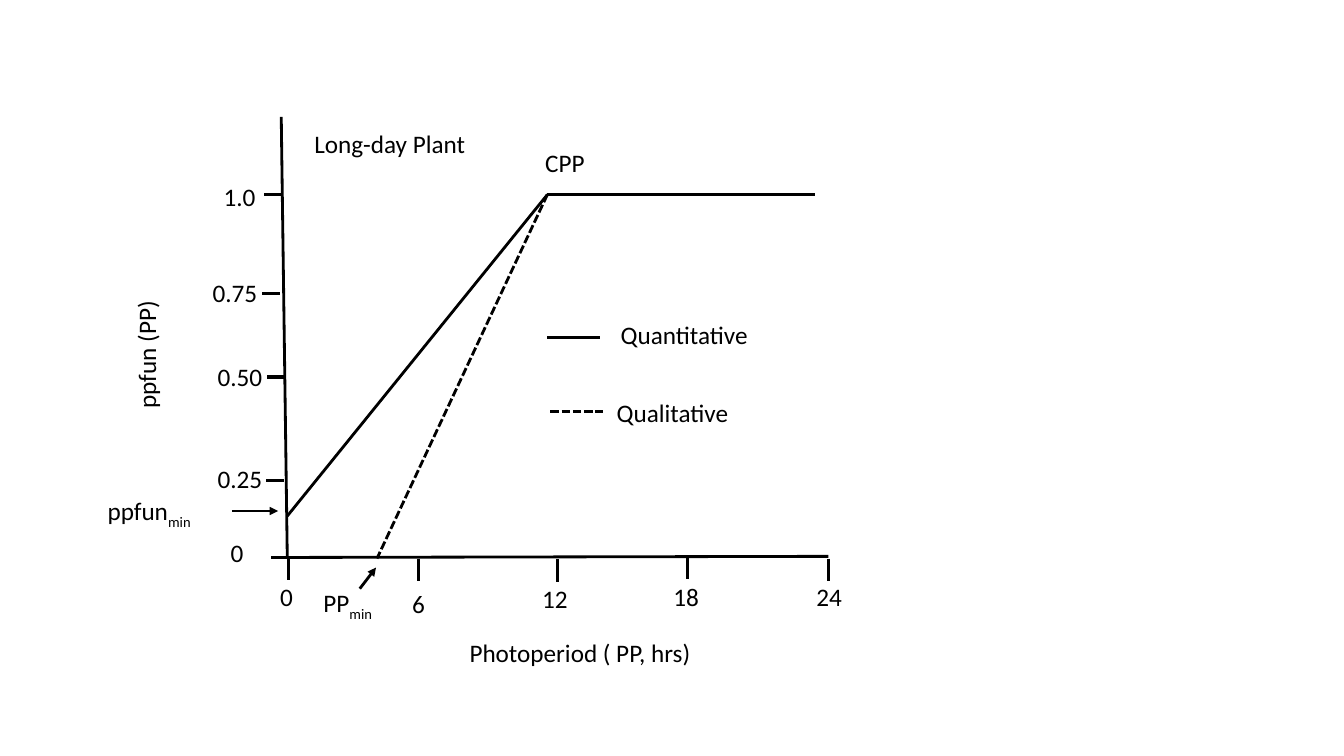
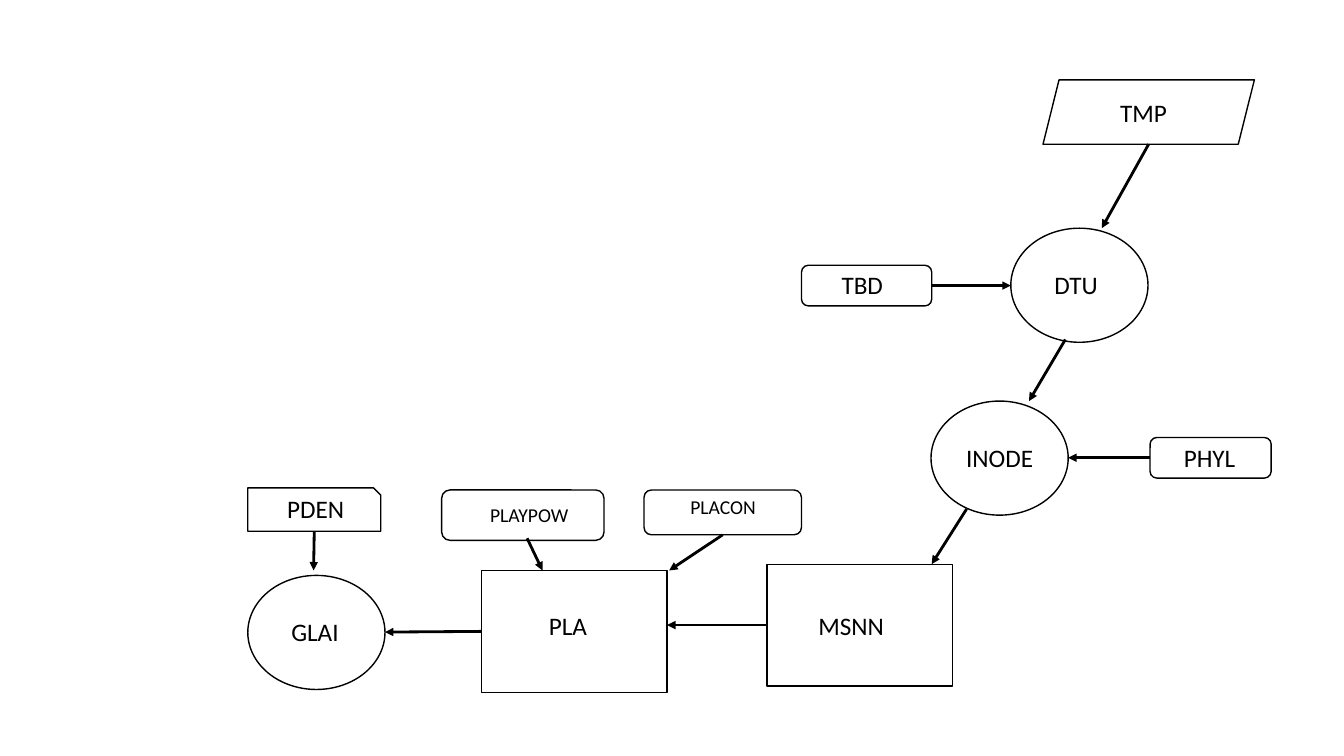
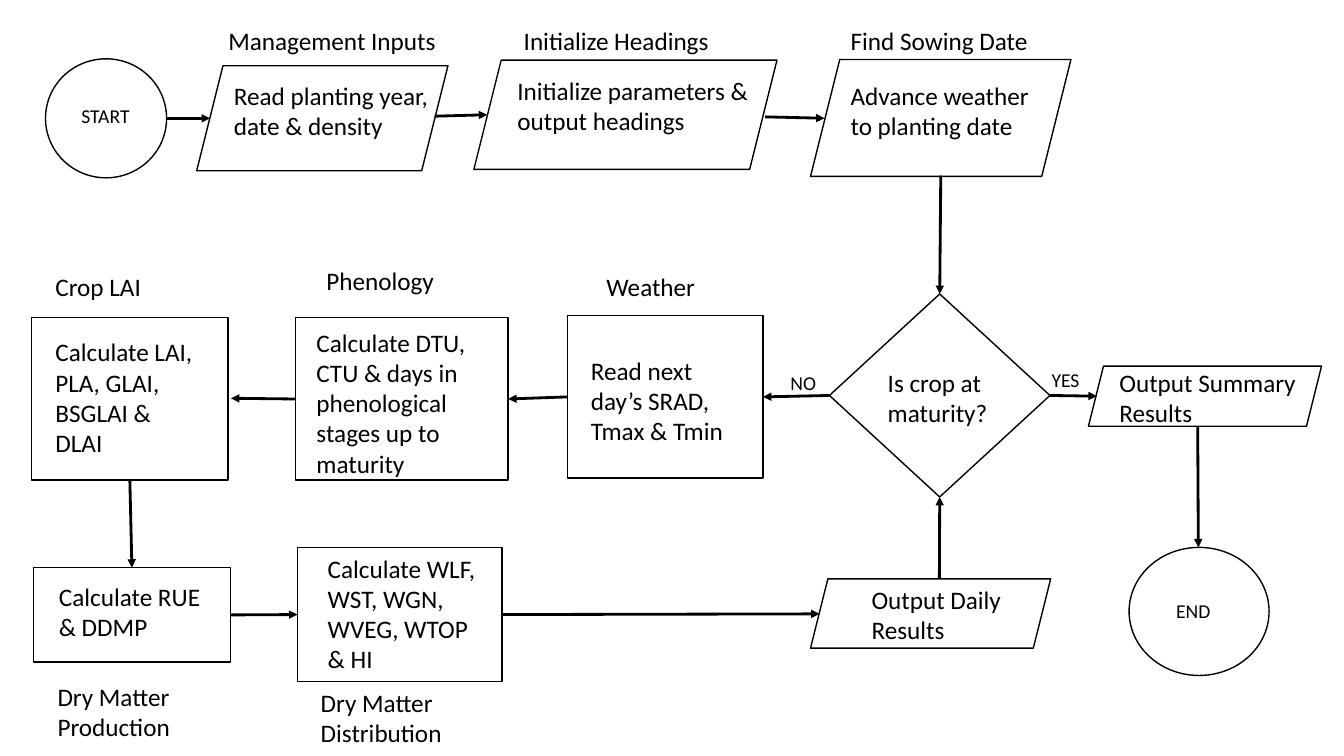
import dataclasses

import pptx
import pptx.dml.color
import pptx.enum.dml
import pptx.enum.shapes
import pptx.enum.text
import pptx.oxml.ns
import pptx.util
from lxml import etree

Pt = pptx.util.Pt
BLACK = pptx.dml.color.RGBColor(0, 0, 0)
WHITE = pptx.dml.color.RGBColor(255, 255, 255)
DASH = pptx.enum.dml.MSO_LINE.SQUARE_DOT
KIND = pptx.enum.shapes.MSO_SHAPE
LINK = pptx.enum.shapes.MSO_CONNECTOR.STRAIGHT
qn = pptx.oxml.ns.qn

FONT = {"name": "Calibri", "bold": False}
FRAME = {"word_wrap": True,
         "vertical_anchor": pptx.enum.text.MSO_ANCHOR.TOP,
         "auto_size": pptx.enum.text.MSO_AUTO_SIZE.SHAPE_TO_FIT_TEXT}
TOP, LEFT, BOTTOM, RIGHT = range(4)
OVAL, SLANT, ROUND, RECT = (KIND.OVAL, KIND.PARALLELOGRAM,
                            KIND.ROUNDED_RECTANGLE, KIND.RECTANGLE)


def style(item, values):
    for name, value in values.items():
        setattr(item, name, value)


@dataclasses.dataclass
class Pen:
    """Draws on one slide, measuring from the corner of a box."""
    slide: object
    box: tuple
    fill: object = None
    nodes: dict = dataclasses.field(default_factory=dict)

    def place(self, x, y):
        return Pt(self.box[0] + x), Pt(self.box[1] + y)

    def text(self, words, x, y, width, lines=1, size=18, sub=None, turn=0):
        label = self.slide.shapes.add_textbox(
            *self.place(x, y), Pt(width), Pt(lines * size * 1.2 + 7.2))
        label.rotation = turn
        frame = label.text_frame
        style(frame, FRAME)
        frame.text = words
        if sub:
            run = frame.paragraphs[0].add_run()
            run.text = sub
            run._r.get_or_add_rPr().set("baseline", "-25000")
        for part in frame.paragraphs:
            for run in part.runs:
                style(run.font, {**FONT, "size": Pt(size)})
                run.font.color.rgb = BLACK

    def node(self, name, kind, box, words, dx, dy, width, lines=1, size=18):
        x, y, wide, high = box
        shape = self.slide.shapes.add_shape(
            kind, *self.place(x, y), Pt(wide), Pt(high))
        shape.shadow.inherit = False
        if self.fill is None:
            shape.fill.background()
        else:
            shape.fill.solid()
            shape.fill.fore_color.rgb = self.fill
        shape.line.color.rgb = BLACK
        shape.line.width = Pt(1)
        self.nodes[name] = shape
        self.text(words, x + dx, y + dy, width, lines, size)

    def spot(self, end):
        """An end is a point, or a node's name with one of its sides."""
        if not isinstance(end[0], str):
            return self.place(*end)
        shape, side = self.nodes[end[0]], end[1]
        across = {LEFT: 0, RIGHT: 2}.get(side, 1)
        down = {TOP: 0, BOTTOM: 2}.get(side, 1)
        return (shape.left + shape.width * across // 2,
                shape.top + shape.height * down // 2)

    def line(self, start, end, width=2, dash=None, head=False):
        link = self.slide.shapes.add_connector(
            LINK, *self.spot(start), *self.spot(end))
        link.line.color.rgb = BLACK
        style(link.line, {"width": Pt(width), "dash_style": dash})
        for stop, join in ((start, link.begin_connect),
                           (end, link.end_connect)):
            if isinstance(stop[0], str):
                join(self.nodes[stop[0]], stop[1])
        props = link._element.spPr
        if head:
            etree.SubElement(props.find(qn("a:ln")), qn("a:tailEnd"),
                             type="triangle")
        etree.SubElement(props, qn("a:effectLst"))

    def arrows(self, ends):
        for start, end in ends:
            self.line(start, end, head=True)


def graph(slide, box):
    pen = Pen(slide, box)
    # Axes
    pen.line((150.9, 3.5), (155.2, 318.2))
    pen.line((541.8, 317.4), (154.5, 318.2))
    pen.text("Photoperiod ( PP, hrs)", 278.3, 371.4, 194)
    pen.text("ppfun (PP)", 4.7, 154.7, 99.4, turn=270)
    # Ticks: label, tick x, tick y, label x, label y
    for words, x, y, left, top in (("0", 155.9, 318, 143, 331.8),
                                   ("6", 248.8, 319, 237.3, 336.9),
                                   ("12", 348.2, 319.5, 330.2, 333.3),
                                   ("18", 441, 317.5, 423.8, 331.8),
                                   ("24", 541.8, 319, 526, 331.8)):
        pen.line((x, y), (x, y + 16))
        pen.text(words, left, top, 48)
    for words, x, y, left, top in (("1.0", 138.6, 59, 102.6, 46),
                                   ("0.75", 137.2, 129.5, 94.7, 114.4),
                                   ("0.50", 140.8, 189.3, 98.3, 174.9),
                                   ("0.25", 140.1, 263.4, 98.3, 247.6),
                                   ("0", 143.7, 318.2, 107.7, 300.2)):
        pen.line((x, y), (x + 12.6, y), width=2.25)
        pen.text(words, left, top, 48)
    # Curves
    peak = (341, 59)
    pen.line(peak, (155.2, 288.6))
    pen.line(peak, (532.5, 59))
    pen.line(peak, (219.3, 318.9), dash=DASH)
    pen.text("Long-day Plant", 167.4, 7.8, 134)
    pen.text("CPP", 332.3, 21.5, 60)
    # Legend
    pen.line((341, 161.2), (378.4, 161.2))
    pen.text("Quantitative", 386.3, 144.6, 106.6)
    pen.line((343.1, 213.8), (380.6, 213.8), dash=DASH)
    pen.text("Qualitative", 383.4, 200.1, 104)
    # Minimum marks
    pen.text("PP", 173.9, 336.2, 63.4, sub="min")
    pen.text("ppfun", 19.8, 270.6, 95.8, sub="min")
    pen.arrows([((207, 340.5), (218.6, 325.4)),
                ((115.6, 285), (148.7, 285))])


def tree(slide, box):
    pen = Pen(slide, box, WHITE)
    ball, block = (98, 81.5), (132.5, 87)
    # Nodes: name, kind, box, label offset, label width, size
    for name, kind, area, dx, dy, width, size in (
            ("TMP", SLANT, (575, 7, 151, 46), 48, 9, 71, 18),
            ("DTU", OVAL, (552, 113, *ball), 24, 26, 56, 18),
            ("TBD", ROUND, (402.5, 139.5, 93, 29), 21.5, -0.5, 60, 18),
            ("INODE", OVAL, (495, 236.5, *ball), 18, 26, 78, 18),
            ("PHYL", ROUND, (651.5, 262.5, 86.5, 29), 17, 0, 68, 18),
            ("MSNN", RECT, (378, 353, *block), 29.5, 29.5, 83.5, 18),
            ("PLACON", ROUND, (290, 300, 112.5, 32), 26, 0, 72, 14),
            ("PLAYPOW", ROUND, (145.5, 300, 116, 36), 27.5, 6, 72, 14),
            ("PLA", RECT, (174, 357.5, *block), 41, 25, 52.5, 18),
            ("PDEN", KIND.SNIP_1_RECTANGLE, (7, 298.5, 95, 31),
             21, 0, 71, 18),
            ("GLAI", OVAL, (7, 361, *ball), 24, 26, 78, 18)):
        pen.node(name, kind, area, name, dx, dy, width, size=size)
    pen.arrows([((650.5, 53), (617, 113)),
                (("TBD", RIGHT), (552, 154)),
                ((591, 192.5), (565, 236.5)),
                (("PHYL", LEFT), (593, 277)),
                ((520.5, 313.5), (495.5, 353)),
                (("MSNN", LEFT), (306.5, 396.5)),
                (("PLACON", BOTTOM), (308, 357.5)),
                ((206.5, 334.5), (217.5, 357.5)),
                (("PLA", LEFT), (105, 401.5)),
                (("PDEN", BOTTOM), (54, 357.5))])


def flow(slide, box):
    pen = Pen(slide, box)
    # Steps: name, kind, box, words, label offset, width, lines, size
    for step in (
            ("start", OVAL, (12.5, 32, 86.5, 85), "START",
             18.5, 29, 68, 1, 14),
            ("plant", SLANT, (120.5, 37, 179.5, 75),
             "Read planting year, date & density", 19.5, 6.5, 185, 2),
            ("init", SLANT, (318.5, 33, 216.5, 78),
             "Initialize parameters & output headings", 24, 7, 198, 2),
            ("sow", SLANT, (559, 32.5, 186, 83.5),
             "Advance weather to planting date", 21.5, 11.5, 151, 2),
            ("ask", KIND.DIAMOND, (572.5, 200, 157.5, 145),
             "Is crop at maturity?", 34.5, 49, 89.5, 2),
            ("sum", SLANT, (757.5, 251.5, 166.5, 43),
             "Output Summary Results", 15, -3, 147, 2),
            ("end", OVAL, (786.5, 381, 100, 91.5), "END",
             26.5, 33, 68, 1, 14),
            ("day", SLANT, (559, 403.5, 171.5, 49.5),
             "Output Daily\nResults", 36.5, 0, 121.5, 2),
            ("sky", RECT, (385.5, 215.5, 139.5, 116),
             "Read next day’s SRAD, Tmax & Tmin", 9.5, 24.5, 117.5, 3),
            ("phase", RECT, (191, 217, 152, 116),
             "Calculate DTU, CTU & days in phenological stages up to maturity",
             8, 3, 136, 5),
            ("leaf", RECT, (2.5, 217, 140.5, 116),
             "Calculate LAI, PLA, GLAI, BSGLAI & DLAI", 10, 10, 116.5, 4),
            ("make", RECT, (4, 395.5, 140.5, 67.5),
             "Calculate RUE & DDMP", 11, 6, 116.5, 2),
            ("share", RECT, (192.5, 381, 146, 96),
             "Calculate WLF, WST, WGN, WVEG, WTOP & HI", 14.5, 0.5, 120, 4)):
        pen.node(*step)
    # Headings and branch labels
    for label in (("Management Inputs", 136, 4.5, 170),
                  ("Initialize Headings", 347, 4.5, 165),
                  ("Find Sowing Date", 580.5, 4.5, 151),
                  ("Weather", 406, 180, 122.5),
                  ("Phenology", 206, 176, 140.5),
                  ("Crop LAI", 12.5, 180, 119.5),
                  ("Dry Matter Production", 14, 473, 129, 2),
                  ("Dry Matter Distribution", 202, 477.5, 131, 2),
                  ("NO", 537.5, 251.5, 68, 1, 14),
                  ("YES", 724, 249, 68, 1, 14)):
        pen.text(*label)
    pen.arrows([((99, 74.5), (130, 74.5)),
                ((290.5, 73), (328, 72)),
                ((526.5, 73.5), (569, 74.5)),
                ((652, 115.5), ("ask", TOP)),
                (("ask", LEFT), ("sky", RIGHT)),
                (("sky", LEFT), ("phase", RIGHT)),
                (("phase", LEFT), (145, 274.5)),
                (("leaf", BOTTOM), ("make", TOP)),
                (("make", RIGHT), ("share", LEFT)),
                (("share", RIGHT), (565.5, 428.5)),
                ((651, 403.5), ("ask", BOTTOM)),
                (("ask", RIGHT), (763.5, 273)),
                ((835.5, 294.5), (836, 381))])


def main():
    deck = pptx.Presentation()
    style(deck, {"slide_width": Pt(960), "slide_height": Pt(540)})
    blank = deck.slide_layouts[6]
    for draw, box in ((graph, (50, 80)), (tree, (170, 50)),
                      (flow, (20, 10))):
        draw(deck.slides.add_slide(blank), box)
    deck.save("out.pptx")


if __name__ == "__main__":
    main()
